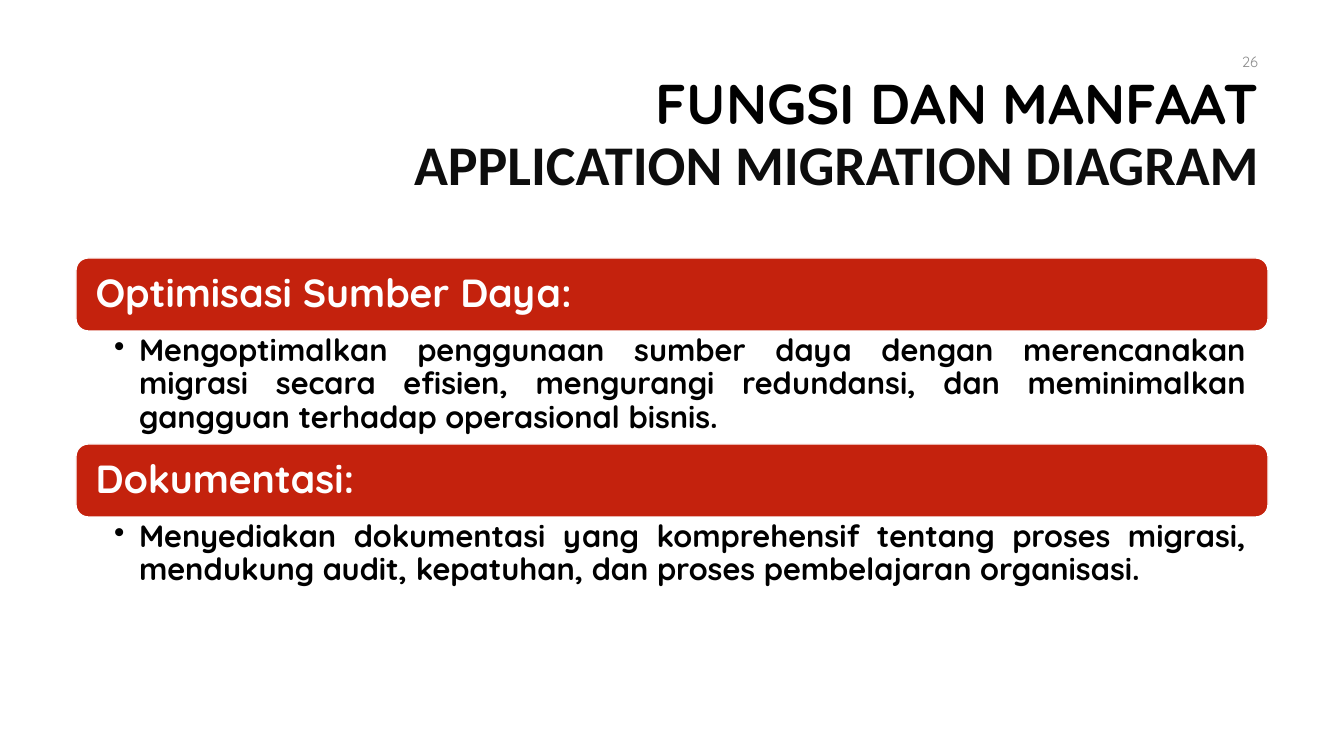
import pptx
import pptx.util
import pptx.dml.color
import pptx.enum.shapes
import pptx.enum.text
import lxml.etree

PX = 914400 / 100.8
COLOURS = {"black": "000000", "ink": "0D0D0D", "red": "C4220D",
           "white": "FFFFFF", "grey": "8C8C8C"}
ALIGN = pptx.enum.text.PP_ALIGN
ANCHOR = pptx.enum.text.MSO_ANCHOR
BAR_HEIGHT = 73
SECTIONS = [  # heading, bullet text, height of the bullet box
    ("Optimisasi Sumber Daya:",
     "Mengoptimalkan penggunaan sumber daya dengan merencanakan migrasi secara "
     "efisien, mengurangi redundansi, dan meminimalkan gangguan terhadap "
     "operasional bisnis.", 113),
    ("Dokumentasi:",
     "Menyediakan dokumentasi yang komprehensif tentang proses migrasi, "
     "mendukung audit, kepatuhan, dan proses pembelajaran organisasi.", 77),
]


def px(length):
    return pptx.util.Emu(round(length * PX))


def colour(name):
    return pptx.dml.color.RGBColor.from_string(COLOURS[name])


def set_font(font, size, colour_name, bold=True, name="Quicksand"):
    font.name = name
    font.size = pptx.util.Pt(size)
    font.bold = bold
    font.color.rgb = colour(colour_name)


def set_frame(frame, anchor, left, top, right, bottom):
    frame.word_wrap = True
    frame.auto_size = pptx.enum.text.MSO_AUTO_SIZE.NONE
    frame.vertical_anchor = anchor
    frame.margin_left, frame.margin_top = px(left), px(top)
    frame.margin_right, frame.margin_bottom = px(right), px(bottom)


def add_bullet(para, indent):
    properties = para._p.get_or_add_pPr()
    properties.set("marL", str(px(indent)))
    properties.set("indent", str(px(-indent)))
    namespace = pptx.oxml.ns.qn("a:buChar")
    lxml.etree.SubElement(properties, namespace).set("char", "•")


def place_title(page, left, top, width, height):
    title = page.shapes.title
    title.left, title.top = px(left), px(top)
    title.width, title.height = px(width), px(height)
    set_frame(title.text_frame, ANCHOR.MIDDLE, 10, 5, 10, 5)
    para = title.text_frame.paragraphs[0]
    para.alignment = ALIGN.RIGHT
    para.line_spacing = 0.9
    first = para.add_run()
    first.text = "FUNGSI DAN MANFAAT"
    set_font(first.font, 40, "black")
    para.add_line_break()
    second = para.add_run()
    second.text = "APPLICATION MIGRATION DIAGRAM"
    set_font(second.font, 40, "ink", name="Calibri")


def place_page_number(page, left, top, width, height):
    box = page.shapes.add_textbox(px(left), px(top), px(width), px(height))
    set_frame(box.text_frame, ANCHOR.MIDDLE, 10, 5, 10, 5)
    para = box.text_frame.paragraphs[0]
    para.text = "26"
    para.alignment = ALIGN.RIGHT
    set_font(para.font, 10.5, "grey", bold=False)


def place_section(page, left, top, width, heading, body, body_height):
    # Heading bar
    bar = page.shapes.add_shape(
        pptx.enum.shapes.MSO_SHAPE.ROUNDED_RECTANGLE,
        px(left), px(top), px(width), px(BAR_HEIGHT))
    bar.shadow.inherit = False
    bar.fill.solid()
    bar.fill.fore_color.rgb = colour("red")
    bar.line.color.rgb = colour("white")
    bar.line.width = pptx.util.Pt(1)
    set_frame(bar.text_frame, ANCHOR.MIDDLE, 16, 12, 16, 12)
    para = bar.text_frame.paragraphs[0]
    para.text = heading
    para.alignment = ALIGN.JUSTIFY
    para.line_spacing = 0.9
    set_font(para.font, 28, "white")

    # Bullet below the bar
    box = page.shapes.add_textbox(
        px(left), px(top + BAR_HEIGHT), px(width), px(body_height))
    set_frame(box.text_frame, ANCHOR.TOP, 38, 4, 22, 4)
    para = box.text_frame.paragraphs[0]
    para.text = body
    para.alignment = ALIGN.JUSTIFY
    para.line_spacing = 0.9
    add_bullet(para, 25)
    set_font(para.font, 22, "black")


def place_sections(page, left, top, width):
    for heading, body, body_height in SECTIONS:
        place_section(page, left, top, width, heading, body, body_height)
        top += BAR_HEIGHT + body_height


def main():
    deck = pptx.Presentation()
    deck.slide_width, deck.slide_height = px(1344), px(756)
    page = deck.slides.add_slide(deck.slide_layouts.get_by_name("Title Only"))
    place_title(page, 320, 71, 949, 132)
    place_sections(page, 76, 258, 1192)
    place_page_number(page, 966, 42, 302, 40)
    deck.save("out.pptx")


if __name__ == "__main__":
    main()
